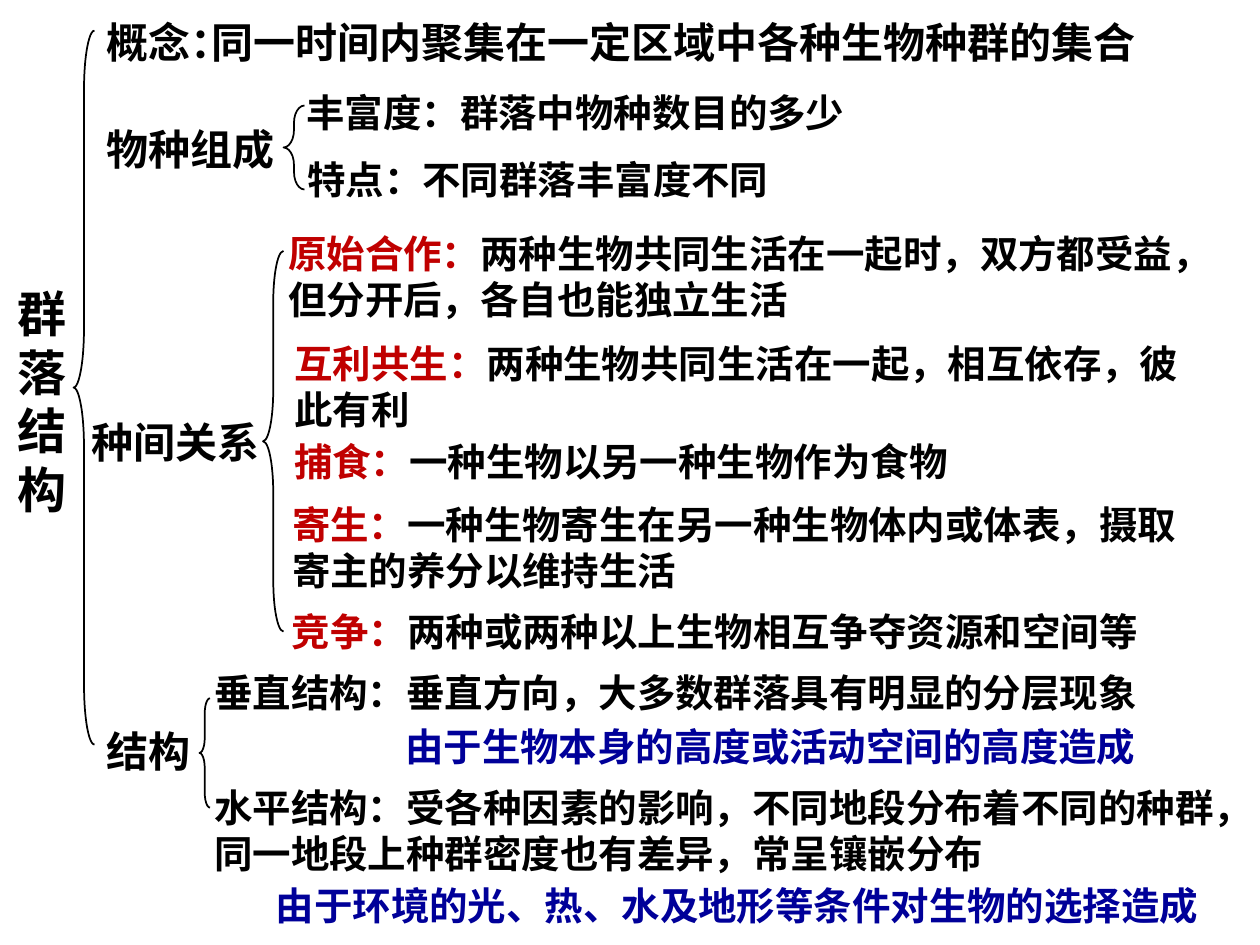
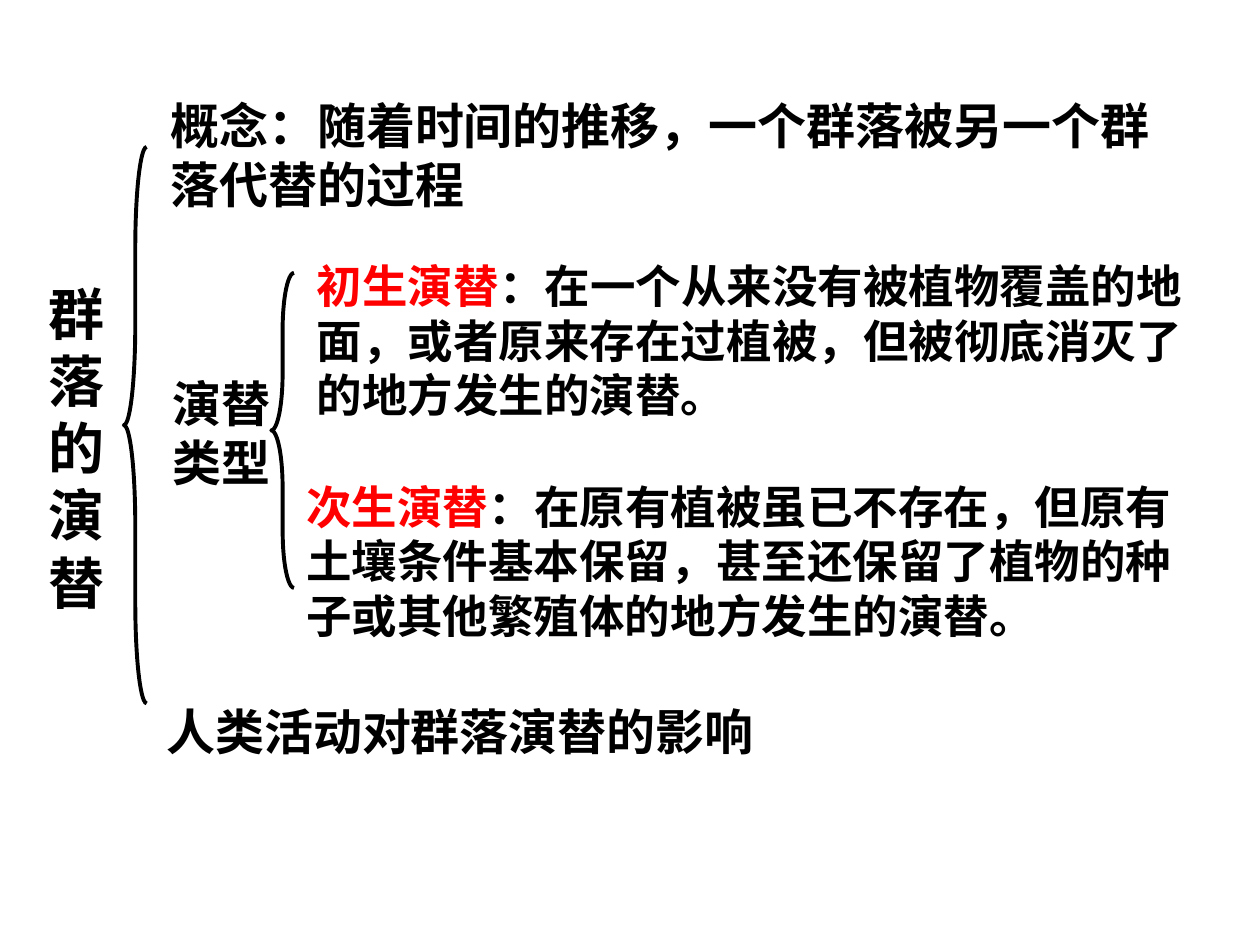
from pptx import Presentation
from pptx.dml.color import RGBColor
from pptx.enum.shapes import MSO_SHAPE
from pptx.enum.text import MSO_ANCHOR, PP_ALIGN
from pptx.util import Pt
from lxml import etree

BRACE = MSO_SHAPE.LEFT_BRACE
TOP = MSO_ANCHOR.TOP
LEFT, RIGHT = PP_ALIGN.LEFT, PP_ALIGN.RIGHT
FONT = "Noto Sans CJK SC"
BLACK = RGBColor(0x00, 0x00, 0x00)
CRIMSON = RGBColor(0xC0, 0x00, 0x00)
RED = RGBColor(0xFF, 0x00, 0x00)
NAVY = RGBColor(0x00, 0x00, 0x99)
NS = "http://schemas.openxmlformats.org/drawingml/2006/main"
LEADING = 1.2
INSET = 3.6


def add_run(para, text, size, color):
    run = para.add_run()
    run.text = text
    font = run.font
    font.name, font.size, font.bold = FONT, Pt(size), True
    font.color.rgb = color
    east = etree.SubElement(run._r.get_or_add_rPr(), f"{{{NS}}}ea")
    east.set("typeface", FONT)


def add_text(slide, left, top, width, size, *runs, align=LEFT, lines=1):
    """Add one bold paragraph; each run is (text, colour)."""
    height = lines * size * LEADING + 2 * INSET
    box = slide.shapes.add_textbox(Pt(left), Pt(top), Pt(width), Pt(height))
    frame = box.text_frame
    frame.word_wrap = True
    frame.vertical_anchor = TOP
    frame.margin_top = frame.margin_bottom = Pt(INSET)
    para = frame.paragraphs[0]
    para.alignment = align
    para.line_spacing = Pt(round(size * LEADING, 1))
    for text, color in runs:
        add_run(para, text, size, color)


def add_brace(slide, left, top, width, height, curve, weight):
    brace = slide.shapes.add_shape(
        BRACE, Pt(left), Pt(top), Pt(width), Pt(height))
    brace.shadow.inherit = False
    brace.adjustments[0] = curve
    brace.adjustments[1] = 0.5
    brace.fill.background()
    brace.line.color.rgb = BLACK
    brace.line.width = Pt(weight)


def draw_structure(slide):
    add_text(slide, 3, 158.4, 54, 28, ("群落结构", BLACK), lines=4)
    heads = [
        (54, 5.8, 94, "概念："),
        (114, 5.8, 552, "同一时间内聚集在一定区域中各种生物种群的集合"),
        (54, 67, 120, "物种组成"),
        (45.4, 234.7, 114, "种间关系"),
        (54, 411, 72, "结构"),
    ]
    for left, top, width, text in heads:
        add_text(slide, left, top, width, 24, (text, BLACK))

    facts = [
        (168, 47.5, 360, 1, "丰富度：群落中物种数目的多少"),
        (168.5, 85.5, 306, 1, "特点：不同群落丰富度不同"),
        (115.4, 378.7, 606, 1, "垂直结构：垂直方向，大多数群落具有明显的分层现象"),
        (115.4, 444.3, 612, 2, "水平结构：受各种因素的影响，不同地段分布着不同的种群，"
         "同一地段上种群密度也有差异，常呈镶嵌分布"),
    ]
    for left, top, width, lines, text in facts:
        add_text(slide, left, top, width, 22, (text, BLACK), lines=lines)

    bonds = [
        (157.6, 128, 547, 2, "原始合作：",
         "两种生物共同生活在一起时，双方都受益，但分开后，各自也能独立生活"),
        (161.2, 190.7, 538.5, 2, "互利共生：",
         "两种生物共同生活在一起，相互依存，彼此有利"),
        (161, 246.8, 468, 1, "捕食：", "一种生物以另一种生物作为食物"),
        (159.8, 282.8, 538.5, 2, "寄生：",
         "一种生物寄生在另一种生物体内或体表，摄取寄主的养分以维持生活"),
        (159.8, 344, 546, 1, "竞争：", "两种或两种以上生物相互争夺资源和空间等"),
    ]
    for left, top, width, lines, name, text in bonds:
        add_text(slide, left, top, width, 22, (name, CRIMSON), (text, BLACK),
                 lines=lines)

    add_text(slide, 134.6, 409.6, 521.3, 22,
             ("由于生物本身的高度或活动空间的高度造成", NAVY), align=RIGHT)
    add_text(slide, 150.5, 500.4, 562, 22,
             ("由于环境的光、热、水及地形等条件对生物的选择造成", NAVY))

    for place in [
        (42, 17.5, 12, 408, 2.83),
        (162, 60.3, 12, 48, 0.83),
        (150.3, 143.4, 11.7, 217.5, 2.5),
        (114, 399, 6, 62.5, 1.42),
    ]:
        add_brace(slide, *place, 1)


def draw_change(slide):
    add_text(slide, 20.6, 156, 48, 32, ("群落的演替", BLACK), lines=5)
    heads = [
        (90.3, 51, 592.5, 2, "概念：随着时间的推移，一个群落被另一个群落代替的过程"),
        (91.5, 210, 72, 2, "演替类型"),
        (88, 397.5, 434, 1, "人类活动对群落演替的影响"),
    ]
    for left, top, width, lines, text in heads:
        add_text(slide, left, top, width, 28, (text, BLACK), lines=lines)

    kinds = [
        (174, 144, 520.5, "初生演替", "：在一个从来没有被植物覆盖的地面，"
         "或者原来存在过植被，但被彻底消灭了的地方发生的演替。"),
        (168, 270, 509, "次生演替", "：在原有植被虽已不存在，但原有土壤条件基本保留，"
         "甚至还保留了植物的种子或其他繁殖体的地方发生的演替。"),
    ]
    for left, top, width, name, text in kinds:
        add_text(slide, left, top, width, 26, (name, RED), (text, BLACK),
                 lines=3)

    add_brace(slide, 155, 156, 13, 180, 2.5, 2.25)
    add_brace(slide, 70.8, 84, 13, 318, 4.42, 2.25)


def main():
    deck = Presentation()
    deck.slide_width, deck.slide_height = Pt(720), Pt(540)
    blank = deck.slide_layouts[6]
    for draw in (draw_structure, draw_change):
        draw(deck.slides.add_slide(blank))
    deck.save("out.pptx")


if __name__ == "__main__":
    main()
